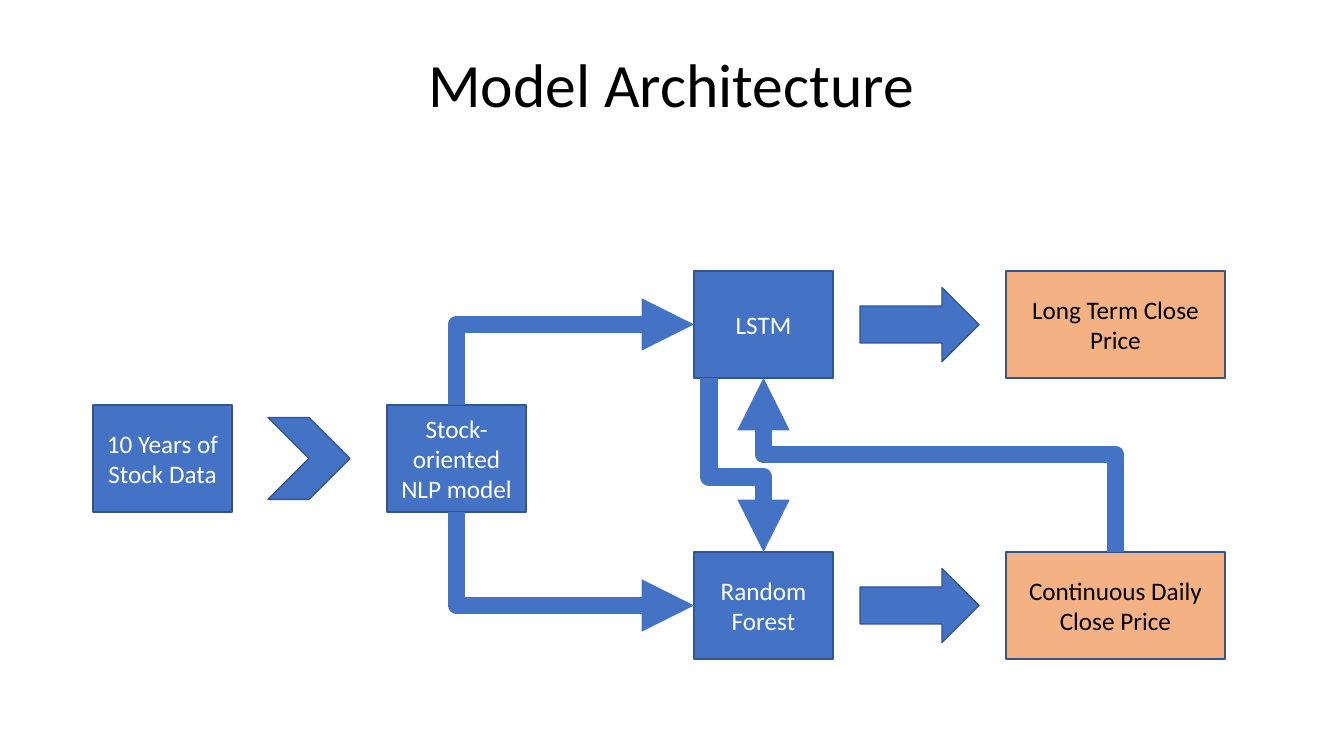
from lxml.etree import SubElement
from pptx import Presentation
from pptx.dml.color import RGBColor
from pptx.enum.shapes import MSO_CONNECTOR, MSO_SHAPE
from pptx.enum.text import MSO_ANCHOR, PP_ALIGN
from pptx.oxml.ns import qn
from pptx.util import Pt

THEME = {
    "font": "Calibri", "title_pt": 44, "body_pt": 18, "edge_pt": 1, "flow_pt": 12.5,
    "blue": "4472C4", "orange": "F4B183", "edge": "325491",
    "white": "FFFFFF", "black": "000000",
}
PX = 914400 / 100.8
SLIDE = (1344, 756)

TITLE = ("Model Architecture", (92, 15, 1159, 146))
TOP, MIDDLE, BOTTOM = 271, 405, 552
BOX_H = 107
STEP = {"width": 139, "fill": "blue", "ink": "white"}
OUTCOME = {"width": 219, "fill": "orange", "ink": "black"}
BOXES = {  # name: (text, left, top, style)
    "nlp": ("Stock-oriented NLP model", 387, MIDDLE, STEP),
    "lstm": ("LSTM", 694, TOP, STEP),
    "forest": ("Random Forest", 694, BOTTOM, STEP),
    "long_term": ("Long Term Close Price", 1006, TOP, OUTCOME),
    "data": ("10 Years of Stock Data", 93, MIDDLE, STEP),
    "daily": ("Continuous Daily Close Price", 1006, BOTTOM, OUTCOME),
}
MARKS = [  # shape, left, row top, width, height
    (MSO_SHAPE.RIGHT_ARROW, 860, BOTTOM, 119, 74),
    (MSO_SHAPE.CHEVRON, 268, MIDDLE, 82, 82),
    (MSO_SHAPE.RIGHT_ARROW, 860, TOP, 119, 74),
]
LSTM_EXIT = 15  # px from the left edge of the LSTM box


def emu(*lengths):
    return [round(n * PX) for n in lengths]


def color(name):
    return RGBColor.from_string(THEME[name])


def write(sp, text, size, ink, spacing=None):
    tf = sp.text_frame
    p = tf.paragraphs[0]
    r = p.add_run()
    r.text = text
    r.font.color.rgb = color(ink)
    for target, values in (
        (tf, {"word_wrap": True, "vertical_anchor": MSO_ANCHOR.MIDDLE}),
        (p, {"alignment": PP_ALIGN.CENTER, "line_spacing": spacing}),
        (r.font, {"name": THEME["font"], "size": Pt(THEME[size])}),
    ):
        for key, value in values.items():
            setattr(target, key, value)


def add_block(s, kind, box, fill):
    sp = s.shapes.add_shape(kind, *emu(*box))
    sp.shadow.inherit = False
    sp.fill.solid()
    sp.fill.fore_color.rgb = color(fill)
    sp.line.color.rgb = color("edge")
    sp.line.width = Pt(THEME["edge_pt"])
    return sp


def anchor(name, side):
    _, left, top, style = BOXES[name]
    width = style["width"]
    return {"top": (left + width / 2, top), "left": (left, top + BOX_H / 2),
            "bottom": (left + width / 2, top + BOX_H)}[side]


def add_flow(s, start, end, turn, bend=None):
    """Elbow arrow leaving start vertically; bend is the share of the way to its crossbar."""
    (x1, y1), (x2, y2) = start, end
    # The frame is stored unrotated, so its width is the vertical distance.
    w, h = abs(y2 - y1), abs(x2 - x1)
    left, top = (x1 + x2 - w) / 2, (y1 + y2 - h) / 2
    cxn = s.shapes.add_connector(MSO_CONNECTOR.ELBOW, *emu(left, top, left + w, top + h))
    cxn.line.color.rgb = color("blue")
    cxn.line.width = Pt(THEME["flow_pt"])

    props = cxn._element.spPr
    xfrm = props.find(qn("a:xfrm"))
    xfrm.set("rot", str(turn * 60000))
    for flip, reverse in (("flipH", y2 > y1), ("flipV", x2 < x1)):
        if reverse == (turn == 270):
            xfrm.set(flip, "1")
    geom = props.find(qn("a:prstGeom"))
    if bend is None:
        geom.set("prst", "bentConnector2")
    else:
        guides = geom.find(qn("a:avLst"))
        if guides is None:
            guides = SubElement(geom, qn("a:avLst"))
        SubElement(guides, qn("a:gd"), name="adj1", fmla=f"val {round(bend * 100000)}")
    SubElement(props.find(qn("a:ln")), qn("a:tailEnd"), type="triangle")
    SubElement(props, qn("a:effectLst"))


def main():
    prs = Presentation()
    prs.slide_width, prs.slide_height = emu(*SLIDE)
    s = prs.slides.add_slide(prs.slide_layouts[6])

    text, box = TITLE
    write(s.shapes.add_textbox(*emu(*box)), text, "title_pt", "black", 0.9)
    for text, left, top, style in BOXES.values():
        sp = add_block(s, MSO_SHAPE.FLOWCHART_PROCESS,
                       (left, top, style["width"], BOX_H), style["fill"])
        write(sp, text, "body_pt", style["ink"])
    for kind, left, row, width, height in MARKS:
        add_block(s, kind, (left, row + (BOX_H - height) / 2, width, height), "blue")

    lstm_exit = (BOXES["lstm"][1] + LSTM_EXIT, TOP + BOX_H)
    for flow in (
        (anchor("daily", "top"), anchor("lstm", "bottom"), 270, 0.56),
        (anchor("nlp", "top"), anchor("lstm", "left"), 90),
        (anchor("nlp", "bottom"), anchor("forest", "left"), 270),
        (lstm_exit, anchor("forest", "top"), 270, 0.57),
    ):
        add_flow(s, *flow)
    prs.save("out.pptx")


if __name__ == "__main__":
    main()
